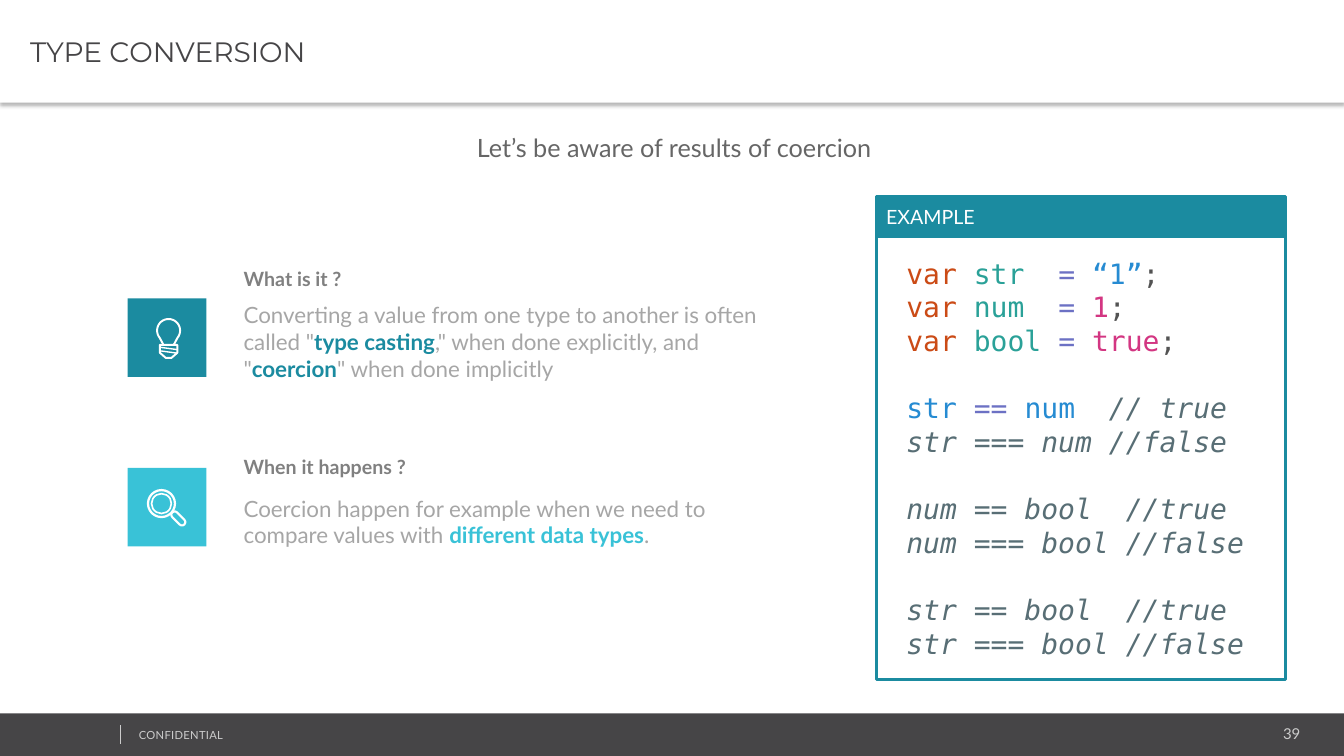
from math import cos, radians, sin

from lxml import etree
from pptx import Presentation
from pptx.dml.color import RGBColor
from pptx.enum.shapes import MSO_CONNECTOR, MSO_SHAPE
from pptx.enum.text import MSO_ANCHOR, MSO_AUTO_SIZE, PP_ALIGN
from pptx.oxml.ns import qn
from pptx.util import Cm, Pt

RECT, OVAL, CAPSULE = MSO_SHAPE.RECTANGLE, MSO_SHAPE.OVAL, MSO_SHAPE.ROUNDED_RECTANGLE
STRAIGHT = MSO_CONNECTOR.STRAIGHT
LEFT, CENTER, RIGHT = PP_ALIGN.LEFT, PP_ALIGN.CENTER, PP_ALIGN.RIGHT
MIDDLE = MSO_ANCHOR.MIDDLE
NO_FIT = MSO_AUTO_SIZE.NONE

LATO, MONO, TITLE_FONT = "Lato", "DejaVu Sans Mono", "Montserrat"
COLORS = {
    "white": "FFFFFF", "dark": "464547", "footer": "CCCCCC", "subtitle": "666666",
    "heading": "808080", "body": "A6A6A6", "teal": "1B8BA0", "cyan": "39C2D7",
    "keyword": "CB4B16", "name": "2AA198", "operator": "6C71C4", "string": "268BD2",
    "value": "D33682", "plain": "535353", "comment": "586E75",
}
SLIDE_W, SLIDE_H = 33.87, 19.05

DECLARATIONS = [("str  ", "“1”", "string"), ("num  ", "1", "value"), ("bool ", "true", "value")]
CODE_GROUPS = [
    [[("var ", "keyword"), (name, "name"), ("= ", "operator"), (value, color), (";", "plain")]
     for name, value, color in DECLARATIONS],
    [[("str ", "string"), ("== ", "operator"), ("num  ", "string"), ("// true", "comment")],
     [("str === num //false", "comment")]],
    [[("num == bool  //true", "comment")], [("num === bool //false", "comment")]],
    [[("str == bool  //true", "comment")], [("str === bool //false", "comment")]],
]


def rgb(name):
    return RGBColor.from_string(COLORS[name])


def style(font, size, color, name=LATO, bold=False, italic=False):
    font.name, font.size, font.bold, font.italic = name, Pt(size), bold, italic
    font.color.rgb = rgb(color)


def add_shape(s, kind, x, y, w, h, fill=None, line=None, width=1):
    sp = s.shapes.add_shape(kind, Cm(x), Cm(y), Cm(w), Cm(h))
    paint(sp, fill, line, width)
    return sp


def paint(sp, fill=None, line=None, width=1):
    sp.shadow.inherit = False
    if fill:
        sp.fill.solid()
        sp.fill.fore_color.rgb = rgb(fill)
    else:
        sp.fill.background()
    if line:
        sp.line.color.rgb = rgb(line)
        sp.line.width = Pt(width)
    else:
        sp.line.fill.background()


def add_line(s, x1, y1, x2, y2, color, width):
    line = s.shapes.add_connector(STRAIGHT, Cm(x1), Cm(y1), Cm(x2), Cm(y2))
    line.line.color.rgb = rgb(color)
    line.line.width = Pt(width)
    etree.SubElement(line._element.spPr, qn("a:effectLst"))


def add_outline(s, points, color, width, close):
    points = [(Cm(x), Cm(y)) for x, y in points]
    builder = s.shapes.build_freeform(*points[0])
    builder.add_line_segments(points[1:], close=close)
    paint(builder.convert_to_shape(), line=color, width=width)


def add_text(s, x, y, w, h, text, size, color, align=LEFT, bold=False, wrap=True):
    tf = s.shapes.add_textbox(Cm(x), Cm(y), Cm(w), Cm(h)).text_frame
    tf.word_wrap = wrap
    p = tf.paragraphs[0]
    p.text = text
    p.alignment = align
    for r in p.runs:
        style(r.font, size, color, bold=bold)
    return p


def header(s, x, y, w, h):
    sp = s.shapes.title
    sp.left, sp.top, sp.width, sp.height = Cm(x), Cm(y), Cm(w), Cm(h)
    sp.fill.solid()
    sp.fill.fore_color.rgb = rgb("white")
    effects = etree.SubElement(sp._element.spPr, qn("a:effectLst"))
    shadow = etree.SubElement(effects, qn("a:outerShdw"), blurRad=str(Pt(3.1)),
                              dist=str(Pt(2)), dir="5400000", algn="t", rotWithShape="0")
    black = etree.SubElement(shadow, qn("a:srgbClr"), val="000000")
    etree.SubElement(black, qn("a:alpha"), val="30000")
    tf = sp.text_frame
    tf.text = "TYPE CONVERSION"
    tf.auto_size, tf.vertical_anchor = NO_FIT, MIDDLE
    tf.margin_left, tf.margin_right = Cm(0.76), Cm(0.18)
    tf.margin_top = tf.margin_bottom = Cm(0.1)
    p = tf.paragraphs[0]
    p.alignment = LEFT
    style(p.runs[0].font, 20, "dark", TITLE_FONT)


def footer(s, x, y, w, h):
    add_shape(s, RECT, x, y, w, h, fill="dark")
    add_text(s, x + 27.48, y + 0.16, 5.54, 0.7, "39", 10.7, "footer", RIGHT)
    p = add_text(s, x + 3.25, y + 0.25, 8.59, 0.6, "CONFIDENTIAL", 8, "footer")
    p.runs[0].font._element.set("spc", "20")
    add_line(s, x + 3.02, y + 0.3, x + 3.02, y + 0.76, "footer", 0.25)


def example(s, x, y, w, h):
    bar = 1.0
    add_shape(s, RECT, x, y + bar, w, h - bar, line="teal", width=2)
    title = add_shape(s, RECT, x, y, w, bar, fill="teal", line="teal", width=2.25)
    tf = title.text_frame
    tf.text = "EXAMPLE"
    tf.vertical_anchor = MIDDLE
    tf.paragraphs[0].alignment = LEFT
    style(tf.paragraphs[0].runs[0].font, 14, "white")

    code = s.shapes.add_textbox(Cm(x + 0.51), Cm(y + 0.48), Cm(w - 0.15), Cm(h + 0.05))
    tf = code.text_frame
    tf.word_wrap, tf.vertical_anchor = True, MIDDLE
    p = None
    for group in CODE_GROUPS:
        for i, tokens in enumerate(group):
            gap = 24 if p is not None and i == 0 else 0
            p = tf.paragraphs[0] if p is None else tf.add_paragraph()
            p.line_spacing, p.space_before = Pt(24), Pt(gap)
            for text, color in tokens:
                r = p.add_run()
                r.text = text
                style(r.font, 20, color, MONO, italic=color == "comment")


def bulb(s, x, y):
    cx, cy, radius = x + 1.03, y + 0.81, 0.29
    arc = [(cx + radius * cos(radians(a)), cy + radius * sin(radians(a)))
           for a in range(140, 401, 10)]
    neck_y = y + 1.17
    add_outline(s, [(cx - 0.13, neck_y), *arc, (cx + 0.13, neck_y)], "white", 1.4, False)
    half_base = [(0.22, 1.17), (0.22, 1.37), (0.07, 1.5)]
    base = [(cx + dx, y + dy) for dx, dy in half_base]
    base += [(cx - dx, y + dy) for dx, dy in reversed(half_base)]
    add_outline(s, base, "white", 1.4, True)
    for dy in (1.23, 1.32):
        add_line(s, cx - 0.22, y + dy, cx + 0.22, y + dy + 0.06, "white", 1)


def magnifier(s, x, y):
    cx, cy = x + 0.85, y + 0.9
    for radius, width in ((0.34, 1.6), (0.25, 1.2)):
        add_shape(s, OVAL, cx - radius, cy - radius, 2 * radius, 2 * radius,
                  line="white", width=width)
    handle = add_shape(s, CAPSULE, x + 1.06, y + 1.19, 0.43, 0.17, line="white", width=1.5)
    handle.adjustments[0] = 0.5
    handle.rotation = 45


def topic(s, x, y, tile_dy, body_dy, body_h, heading, runs, accent, draw_icon):
    """Place an icon tile with a heading and a text; runs alternate plain and accented."""
    add_shape(s, RECT, x, y + tile_dy, 1.98, 1.98, fill=accent)
    draw_icon(s, x, y + tile_dy)
    add_text(s, x + 2.67, y, 6.2, 1.02, heading, 14, "heading", bold=True, wrap=False)
    p = add_text(s, x + 2.67, y + body_dy, 14.07, body_h, runs[0], 16, "body")
    for i, text in enumerate(runs[1:]):
        r = p.add_run()
        r.text = text
        strong = i % 2 == 0
        style(r.font, 16, accent if strong else "body", bold=strong)


def main():
    prs = Presentation()
    prs.slide_width, prs.slide_height = Cm(SLIDE_W), Cm(SLIDE_H)
    s = prs.slides.add_slide(prs.slide_layouts[5])
    header(s, 0, 0, SLIDE_W, 2.59)
    footer(s, 0, 17.98, SLIDE_W, 1.07)
    add_text(s, 11.48, 3.2, 11.02, 1.02, "Let’s be aware of results of coercion",
             18, "subtitle", CENTER, wrap=False)
    example(s, 22.08, 4.95, 10.31, 12.17)
    topic(s, 3.22, 6.6, 0.92, 0.87, 2.31, "What is it ?",
          ["Converting a value from one type to another is often called \"", "type casting",
           ",\" when done explicitly, and \"", "coercion", "\" when done implicitly"],
          "teal", bulb)
    topic(s, 3.22, 11.35, 0.44, 0.99, 1.63, "When it happens ?",
          ["Coercion happen for example when we need to compare values with ",
           "different data types", "."], "cyan", magnifier)
    prs.save("out.pptx")


if __name__ == "__main__":
    main()
